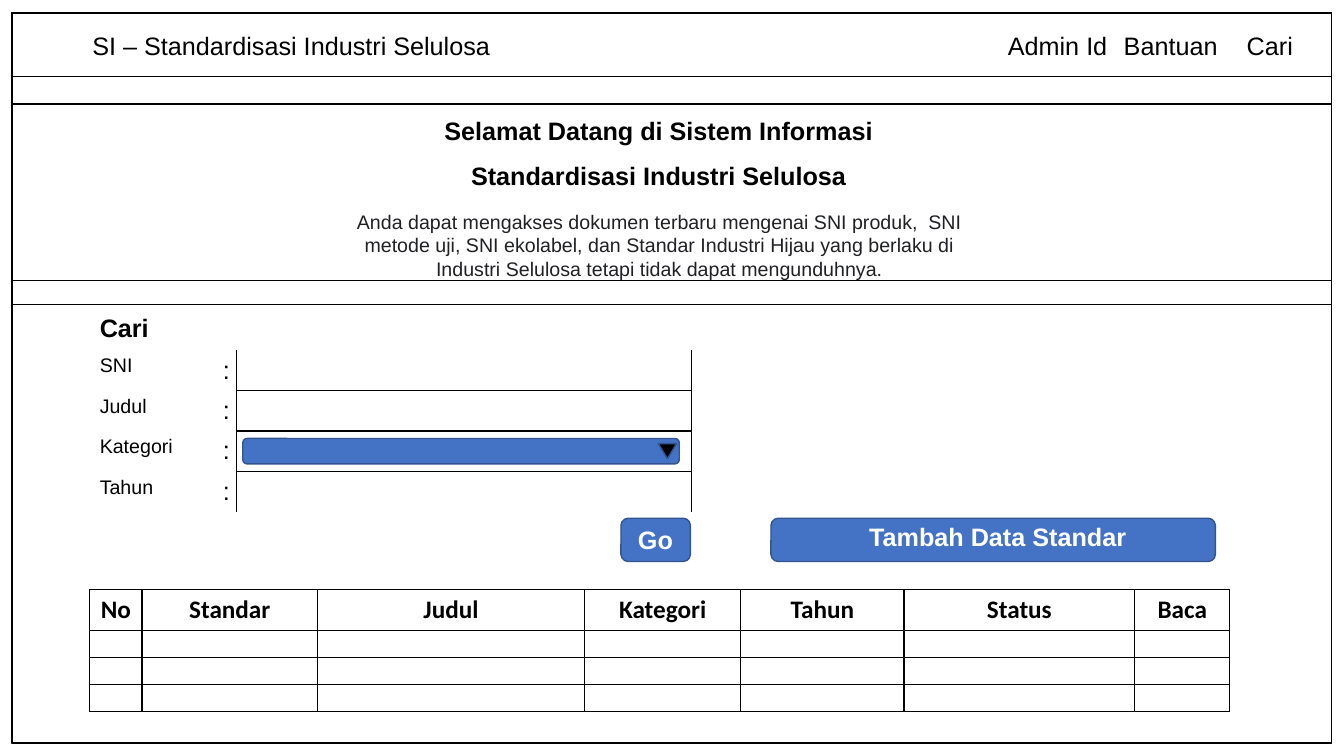
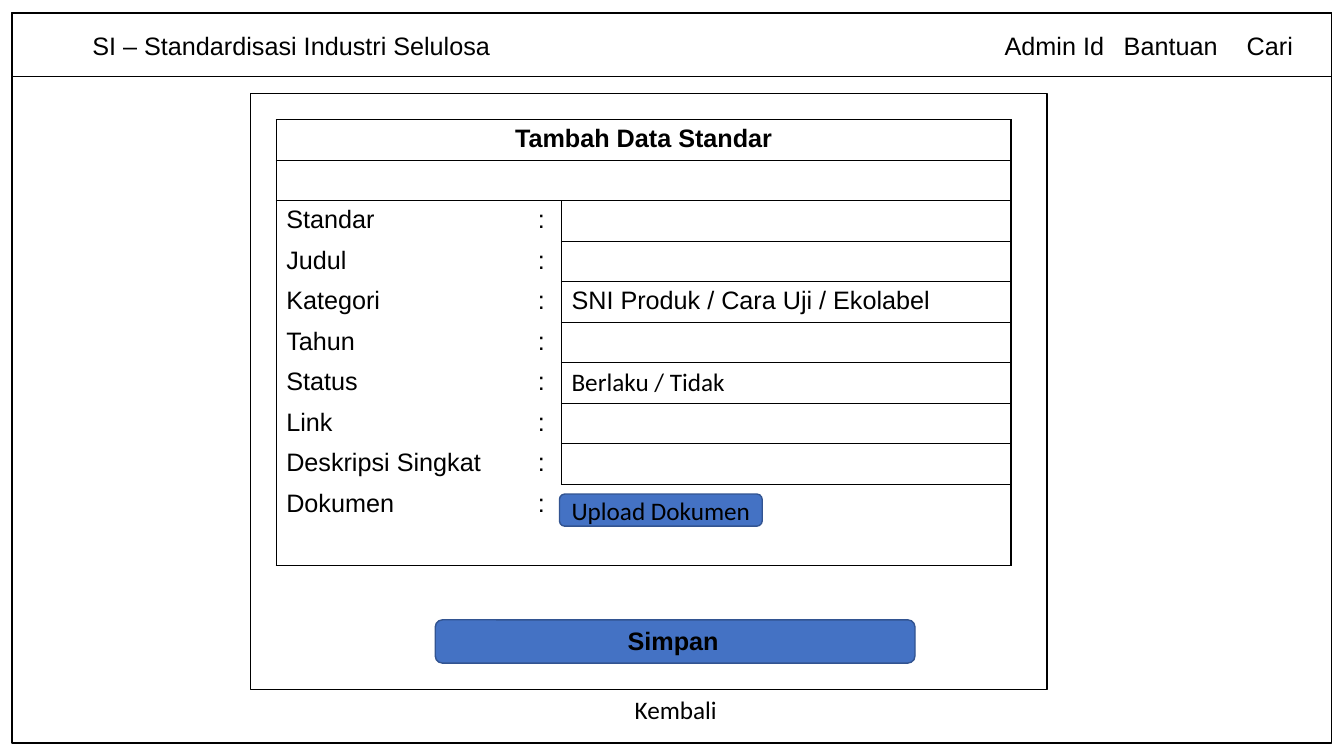
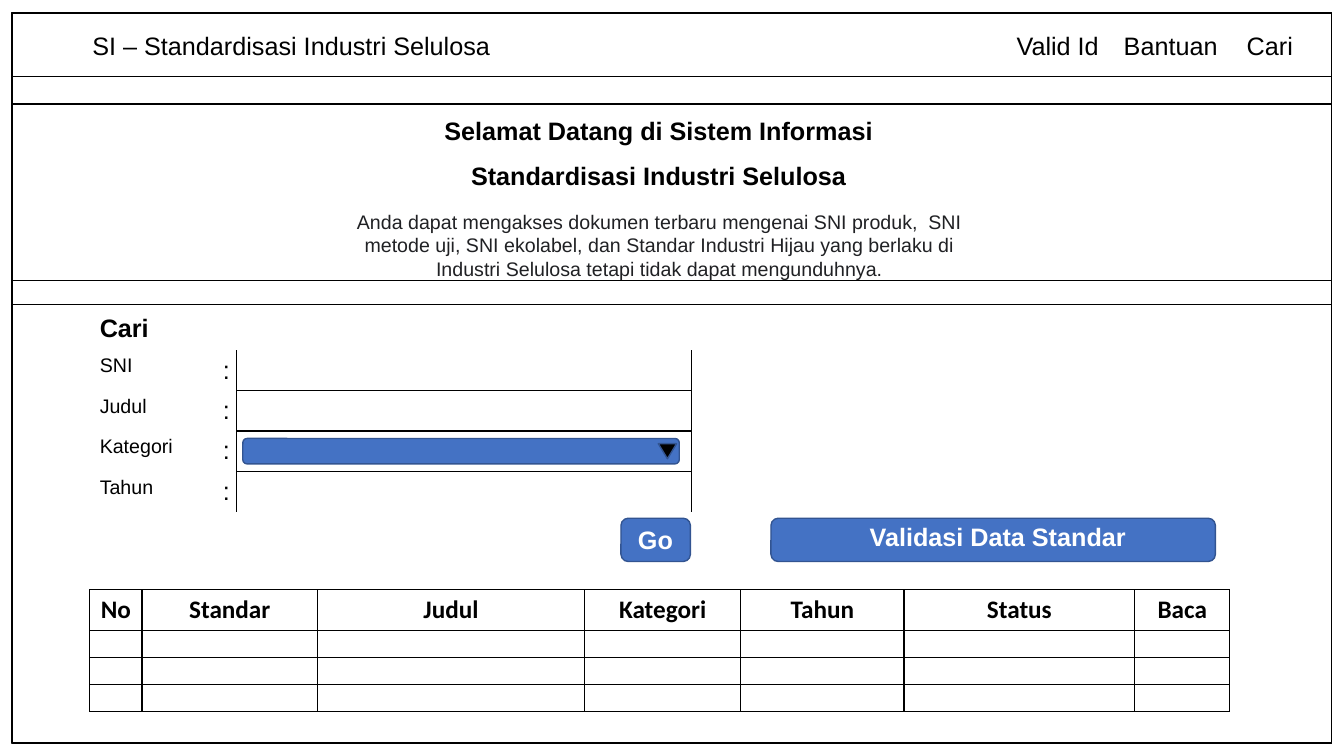
"""Build three wireframe slides of a standards information system."""
from dataclasses import dataclass
from typing import NamedTuple

from lxml.etree import SubElement
from pptx import Presentation
from pptx.dml.color import RGBColor
from pptx.enum.shapes import MSO_SHAPE
from pptx.enum.text import MSO_ANCHOR, MSO_AUTO_SIZE, PP_ALIGN
from pptx.oxml.ns import qn
from pptx.shapes.autoshape import Shape
from pptx.slide import Slide
from pptx.table import Table, _Cell
from pptx.text.text import TextFrame
from pptx.util import Cm, Pt

INK = {"black": "000000", "white": "FFFFFF", "blue": "4472C4", "navy": "325491", "grey": "202124"}
ROW = 1.02


class Box(NamedTuple):
    left: float
    top: float
    width: float
    height: float


@dataclass(frozen=True)
class Style:
    size: float = 18
    font: str = "Arial"
    ink: str = "black"
    bold: bool = False
    align: PP_ALIGN = PP_ALIGN.LEFT
    space: float = 1.0


@dataclass(frozen=True)
class Label:
    text: str
    box: Box
    style: Style
    wrap: bool = True


@dataclass(frozen=True)
class Panel:
    box: Box
    kind: MSO_SHAPE = MSO_SHAPE.RECTANGLE
    fill: str = ""
    line: str = "black"
    turn: float = 0


@dataclass(frozen=True)
class Field:
    name: str
    value: str = ""
    font: str = "Arial"


PLAIN = Style()
SMALL = Style(size=14)
STRONG = Style(bold=True)
MID = Style(align=PP_ALIGN.CENTER)
TITLE = Style(bold=True, align=PP_ALIGN.CENTER)
HEAD = Style(bold=True, align=PP_ALIGN.CENTER, space=1.5)
ACTION = Style(ink="white", bold=True, align=PP_ALIGN.CENTER)
INTRO = Style(size=14, ink="grey", align=PP_ALIGN.CENTER)
NOTE = Style(font="Calibri", align=PP_ALIGN.CENTER)
COLUMN = Style(font="Calibri", bold=True, align=PP_ALIGN.CENTER)

FIELDS = [
    Field("Standar"),
    Field("Judul"),
    Field("Kategori", "SNI Produk / Cara Uji / Ekolabel"),
    Field("Tahun"),
    Field("Status", "Berlaku / Tidak", "Calibri"),
    Field("Link"),
    Field("Deskripsi Singkat"),
]


def tint(name: str) -> RGBColor:
    """Return a named colour."""
    return RGBColor.from_string(INK[name])


def write(frame: TextFrame, text: str, style: Style) -> None:
    """Fill a text frame and format its runs."""
    frame.text = text
    for para in frame.paragraphs:
        para.alignment = style.align
        if style.space != 1:
            para.line_spacing = style.space
        for run in para.runs:
            run.font.size = Pt(style.size)
            run.font.name = style.font
            run.font.bold = style.bold
            run.font.color.rgb = tint(style.ink)


def place(slide: Slide, label: Label) -> None:
    """Draw a text box."""
    shape = slide.shapes.add_textbox(*map(Cm, label.box))
    write(shape.text_frame, label.text, label.style)
    shape.text_frame.word_wrap = label.wrap
    shape.text_frame.auto_size = MSO_AUTO_SIZE.SHAPE_TO_FIT_TEXT


def draw(slide: Slide, panel: Panel) -> Shape:
    """Draw a preset shape."""
    shape = slide.shapes.add_shape(panel.kind, *map(Cm, panel.box))
    shape.shadow.inherit = False
    shape.rotation = panel.turn
    shape.line.color.rgb = tint(panel.line)
    shape.line.width = Pt(1)
    if panel.fill:
        shape.fill.solid()
        shape.fill.fore_color.rgb = tint(panel.fill)
    else:
        shape.fill.background()
    return shape


def button(slide: Slide, box: Box) -> Shape:
    """Draw a rounded blue button."""
    return draw(slide, Panel(box, MSO_SHAPE.ROUNDED_RECTANGLE, "blue", "navy"))


def put(cell: _Cell, sides: str, text: str = "", style: Style = PLAIN) -> None:
    """Set the borders, fill and text of a cell."""
    props = cell._tc.get_or_add_tcPr()
    for side in "LRTB":
        line = SubElement(props, qn(f"a:ln{side}"), w=str(Pt(1)))
        if side in sides:
            paint = SubElement(line, qn("a:solidFill"))
            SubElement(paint, qn("a:srgbClr"), val=INK["black"])
        else:
            SubElement(line, qn("a:noFill"))
    cell.fill.solid()
    cell.fill.fore_color.rgb = tint("white")
    if text:
        write(cell.text_frame, text, style)
    else:
        para = cell.text_frame.paragraphs[0]
        SubElement(para._p, qn("a:endParaRPr"), sz=str(int(style.size * 100)))


def grid(slide: Slide, left: float, top: float, cols: list[float], rows: list[float]) -> Table:
    """Add a table with the given column widths and row heights."""
    size = map(Cm, (left, top, sum(cols), sum(rows)))
    table = slide.shapes.add_table(len(rows), len(cols), *size).table
    table.first_row = table.horz_banding = False
    for col, width in zip(table.columns, cols):
        col.width = Cm(width)
    for row, height in zip(table.rows, rows):
        row.height = Cm(height)
    return table


def span(table: Table, row: int, sides: str, text: str = "", style: Style = PLAIN) -> None:
    """Merge a whole row and fill it."""
    last = len(table.columns) - 1
    table.cell(row, 0).merge(table.cell(row, last))
    for col in range(last + 1):
        put(table.cell(row, col), sides, text if col == 0 else "", style)


def header(slide: Slide, user: str, left: float, width: float) -> None:
    """Draw the page outline and the top menu."""
    draw(slide, Panel(Box(0.3, 0.33, 33.25, 18.39)))
    draw(slide, Panel(Box(0.3, 0.33, 33.25, 1.6)))
    menu = [
        ("SI – Standardisasi Industri Selulosa", 2.08, 10.62),
        (user, left, width),
        ("Bantuan", 28.07, 2.9),
        ("Cari", 31.17, 1.68),
    ]
    for text, start, size in menu:
        place(slide, Label(text, Box(start, 0.64, size, ROW), PLAIN, False))


def results(slide: Slide) -> None:
    """Draw the empty table of standards."""
    names = ["No", "Standar", "Judul", "Kategori", "Tahun", "Status", "Baca"]
    widths = [1.32, 4.42, 6.73, 3.94, 4.11, 5.82, 2.39]
    table = grid(slide, 2.26, 14.86, widths, [ROW] + [0.68] * 3)
    for col, name in enumerate(names):
        put(table.cell(0, col), "LRTB", name, COLUMN)
        for row in range(1, 4):
            put(table.cell(row, col), "LRTB", style=Style(size=10))


def search(slide: Slide) -> None:
    """Draw the search form with its list and button."""
    names = ["SNI", "Judul", "Kategori", "Tahun"]
    table = grid(slide, 2.26, 7.8, [3.1, 0.58, 11.46], [ROW] * 6)
    span(table, 0, "", "Cari", STRONG)
    for row, name in enumerate(names, 1):
        put(table.cell(row, 0), "", name, SMALL)
        put(table.cell(row, 1), "R", ":")
        table.cell(row, 1).vertical_anchor = MSO_ANCHOR.MIDDLE
        above = "T" if row > 1 else ""
        below = "B" if row < len(names) else ""
        put(table.cell(row, 2), "LR" + above + below)
    span(table, 5, "")
    button(slide, Box(6.12, 11.05, 11, 0.64))
    draw(slide, Panel(Box(16.59, 11.18, 0.46, 0.38), MSO_SHAPE.ISOSCELES_TRIANGLE, "black", "navy", 180))
    button(slide, Box(15.65, 13.06, 1.75, 1.09))
    place(slide, Label("Go", Box(15.72, 13.08, 1.6, ROW), ACTION))


def home(slide: Slide, user: str, left: float, width: float, action: str) -> None:
    """Draw a welcome page for one kind of user."""
    header(slide, user, left, width)
    results(slide)
    search(slide)
    draw(slide, Panel(Box(0.3, 2.62, 33.25, 4.45)))
    draw(slide, Panel(Box(0.3, 7.67, 33.25, 11.05)))
    intro = (
        "Anda dapat mengakses dokumen terbaru mengenai SNI produk,  SNI metode uji, "
        "SNI ekolabel, dan Standar Industri Hijau yang berlaku di Industri Selulosa "
        "tetapi tidak dapat mengunduhnya."
    )
    place(slide, Label(intro, Box(8.15, 5.16, 16.94, 2.06), INTRO))
    title = "Selamat Datang di Sistem Informasi\nStandardisasi Industri Selulosa"
    place(slide, Label(title, Box(10.9, 2.39, 11.4, 2.41), HEAD, False))
    button(slide, Box(19.43, 13.06, 11.2, 1.09))
    place(slide, Label(action, Box(20.09, 13, 10.11, ROW), ACTION))


def entry(slide: Slide) -> None:
    """Draw the page that adds a standard."""
    header(slide, "Admin Id", 25.07, 3.05)
    table = grid(slide, 6.96, 3.02, [6.17, 1.02, 11.33], [ROW] * 11)
    span(table, 0, "LRTB", "Tambah Data Standar", TITLE)
    span(table, 1, "LRTB")
    for row, field in enumerate(FIELDS, 2):
        above = "T" if row == 2 else ""
        put(table.cell(row, 0), "L" + above, field.name)
        put(table.cell(row, 1), "R" + above, ":", MID)
        put(table.cell(row, 2), "LRTB", field.value, Style(font=field.font))
    tail = [("L", "Dokumen"), ("", ":"), ("TR", "")]
    for col, (sides, text) in enumerate(tail):
        put(table.cell(9, col), sides, text, MID if col else PLAIN)
    for col, sides in enumerate(["LB", "B", "RB"]):
        put(table.cell(10, col), sides)
    button(slide, Box(10.97, 15.62, 12.09, 1.09))
    place(slide, Label("Simpan", Box(10.97, 15.62, 11.99, ROW), TITLE))
    draw(slide, Panel(Box(6.32, 2.36, 20.07, 15.01)))
    upload = button(slide, Box(14.1, 12.45, 5.11, 0.81))
    write(upload.text_frame, "Upload Dokumen", NOTE)
    upload.text_frame.vertical_anchor = MSO_ANCHOR.MIDDLE
    place(slide, Label("Kembali", Box(8.56, 17.37, 16.94, ROW), NOTE))


def main() -> None:
    """Build and save the deck."""
    deck = Presentation()
    deck.slide_width, deck.slide_height = Cm(33.87), Cm(19.05)
    first, second, third = (deck.slides.add_slide(deck.slide_layouts[6]) for _ in range(3))
    home(first, "Admin Id", 25.15, 3.05, "Tambah Data Standar")
    entry(second)
    home(third, "Valid Id", 25.37, 2.59, "Validasi Data Standar")
    deck.save("out.pptx")


main()
